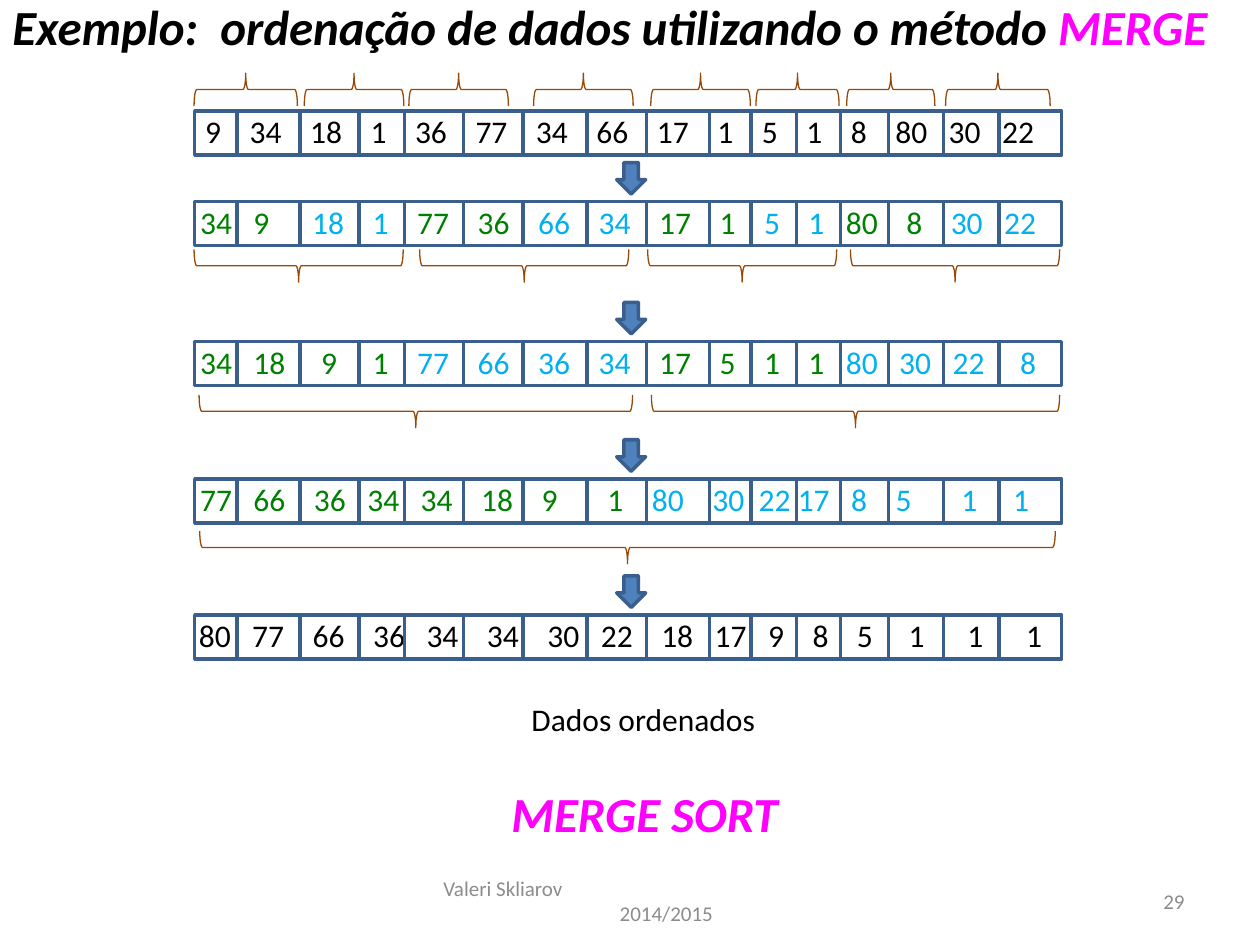
from pptx import Presentation, util as u
from pptx.dml.color import RGBColor
from pptx.enum import shapes, text
from pptx.oxml.ns import qn
from lxml import etree

COLORS = {"ink": "000000", "left": "008000", "right": "00B0F0", "accent": "FF00FF",
          "edge": "3A5F8C", "arrow": "4F81BD", "brace": "984807", "footer": "8C8C8C"}
HEADING = {"size": u.Pt(28), "bold": True, "italic": True}
BODY = {"size": u.Pt(18)}
SMALL = {"size": u.Pt(12)}
COLS, ROWS = 100, 75
UNIT = u.Inches(0.1)
DIGIT, SPACE = 1.27, 0.565
ROW_LEFT, ROW_WIDTH, ROW_HEIGHT = 15.45, 68.8, 3.5
DIVIDERS = [18.8, 23.8, 28.5, 32.1, 36.8, 41.5, 46.6, 51.3,
            56.3, 59.6, 63.2, 66.7, 70.5, 74.9, 79.3]

# top, text left, run length, values, gaps in spaces, brace offset, braces (centre, length)
STAGES = [
    (8.8, 15.3, 16, "9 34 18 1 36 77 34 66 17 1 5 1 8 80 30 22", "444444444444433", -1.7,
     [(19.5, 8.2), (28.1, 7.9), (36.4, 7.9), (46.3, 7.9),
      (55.6, 7.9), (63.3, 6.6), (70.7, 7), (79.2, 8.3)]),
    (16, 14.9, 2, "34 9 18 1 77 36 66 34 17 1 5 1 80 8 30 22", "364444444443443", 5.1,
     [(23.7, 16.6), (41.6, 16.6), (58.9, 15), (75.8, 16.6)]),
    (27.1, 14.9, 4, "34 18 9 1 77 66 36 34 17 5 1 1 80 30 22 8", "355444444443335", 5.55,
     [(33, 34.4), (67.9, 32.4)]),
    (38, 14.9, 8, "77 66 36 34 34 18 9 1 80 30 22 17 8 5 1 1", "343344744213475", 5.45,
     [(49.8, 67.9)]),
    (48.8, 14.8, 16, "80 77 66 36 34 34 30 22 18 17 9 8 5 1 1 1", "344344343344566", 0, []),
]


def grid(*cells):
    """Turn grid cells into slide lengths."""
    return [int(c * UNIT) for c in cells]


def rgb(name):
    """Return a palette colour."""
    return RGBColor.from_string(COLORS[name])


def add_run(p, words, color, fmt):
    """Append a formatted run to a paragraph."""
    r = p.add_run()
    r.text = words
    for key, value in {"name": "Calibri", **fmt}.items():
        setattr(r.font, key, value)
    r.font.color.rgb = rgb(color)


def add_tabs(p, stops):
    """Give a paragraph left tab stops, in grid cells."""
    tabs = etree.SubElement(p._p.get_or_add_pPr(), qn("a:tabLst"))
    for stop in stops:
        etree.SubElement(tabs, qn("a:tab"), pos=str(grid(stop)[0]), algn="l")


def add_text(s, box, runs, fmt, **frame):
    """Add a text box with one paragraph of (words, colour) runs."""
    tf = s.shapes.add_textbox(*grid(*box)).text_frame
    for key, value in {"word_wrap": True, **frame}.items():
        setattr(tf, key, value)
    p = tf.paragraphs[0]
    for words, color in runs:
        add_run(p, words, color, fmt)
    return tf


def add_preset(s, kind, box, line, width, fill=None, rotation=0):
    """Add an outlined preset shape."""
    sp = s.shapes.add_shape(kind, *grid(*box))
    sp.shadow.inherit = False
    sp.rotation = rotation
    sp.line.color.rgb, sp.line.width = rgb(line), u.Pt(width)
    if fill:
        sp.fill.solid()
        sp.fill.fore_color.rgb = rgb(fill)
    else:
        sp.fill.background()


def add_divider(s, x, top):
    """Add one vertical cell border."""
    c = s.shapes.add_connector(shapes.MSO_CONNECTOR.STRAIGHT, *grid(x, top, x, top + 3.6))
    c.line.color.rgb, c.line.width = rgb("edge"), u.Pt(2)
    etree.SubElement(c._element.spPr, qn("a:effectLst"))


def add_brace(s, centre, length, y, rotation):
    """Add a horizontal brace centred on a point."""
    box = (centre - 1.3, y - length / 2, 2.6, length)
    add_preset(s, shapes.MSO_SHAPE.RIGHT_BRACE, box, "brace", 0.75, rotation=rotation)


def add_array(s, top, left, step, values, gaps):
    """Add a bordered row of numbers coloured by sorted group."""
    box = (ROW_LEFT, top, ROW_WIDTH, ROW_HEIGHT)
    add_preset(s, shapes.MSO_SHAPE.RECTANGLE, box, "edge", 2)
    values, stops, x = values.split(), [], 0
    for value, gap in zip(values, gaps):
        x += len(value) * DIGIT + int(gap) * SPACE
        stops.append(x)
    runs = []
    for i in range(0, len(values), step):
        end = "\t" if i + step < len(values) else ""
        color = "ink" if step == len(values) else ("left", "right")[i // step % 2]
        runs.append(("\t".join(values[i:i + step]) + end, color))
    tf = add_text(s, (left, top - 0.4, 72, 4), runs, BODY)
    add_tabs(tf.paragraphs[0], stops)
    for x in DIVIDERS:
        add_divider(s, x, top)


def add_footer(s):
    """Add the author, year and page number."""
    middle = {"vertical_anchor": text.MSO_ANCHOR.MIDDLE}
    tf = add_text(s, (34.2, 69.5, 31.7, 4), [("Valeri Skliarov", "footer")], SMALL, **middle)
    p = tf.add_paragraph()
    add_run(p, "\t2014/2015", "footer", SMALL)
    add_tabs(p, [14])
    tf = add_text(s, (71.7, 69.5, 23.3, 4), [("29", "footer")], SMALL, **middle)
    tf.paragraphs[0].alignment = text.PP_ALIGN.RIGHT


def main():
    """Build the merge sort slide."""
    prs = Presentation()
    prs.slide_width, prs.slide_height = grid(COLS, ROWS)
    s = prs.slides.add_slide(prs.slide_layouts[6])
    add_footer(s)
    title = [("Exemplo:  ordenação de dados utilizando o método ", "ink"), ("MERGE", "accent")]
    add_text(s, (0, -0.8, COLS, 5.7), title, HEADING, word_wrap=False)
    for n, (top, left, step, values, gaps, offset, braces) in enumerate(STAGES):
        add_array(s, top, left, step, values, gaps)
        if n:
            box = (48.95, top - 3.1, 2.3, 2.5)
            add_preset(s, shapes.MSO_SHAPE.DOWN_ARROW, box, "edge", 2, "arrow")
        for centre, length in braces:
            add_brace(s, centre, length, top + offset, 90 if n else 270)
    add_text(s, (41.2, 55.1, 20, 4), [("Dados ordenados", "ink")], BODY, word_wrap=False)
    add_text(s, (39.6, 61.7, 23.4, 5.7), [("MERGE SORT", "accent")], HEADING, word_wrap=False)
    prs.save("out.pptx")


if __name__ == "__main__":
    main()
